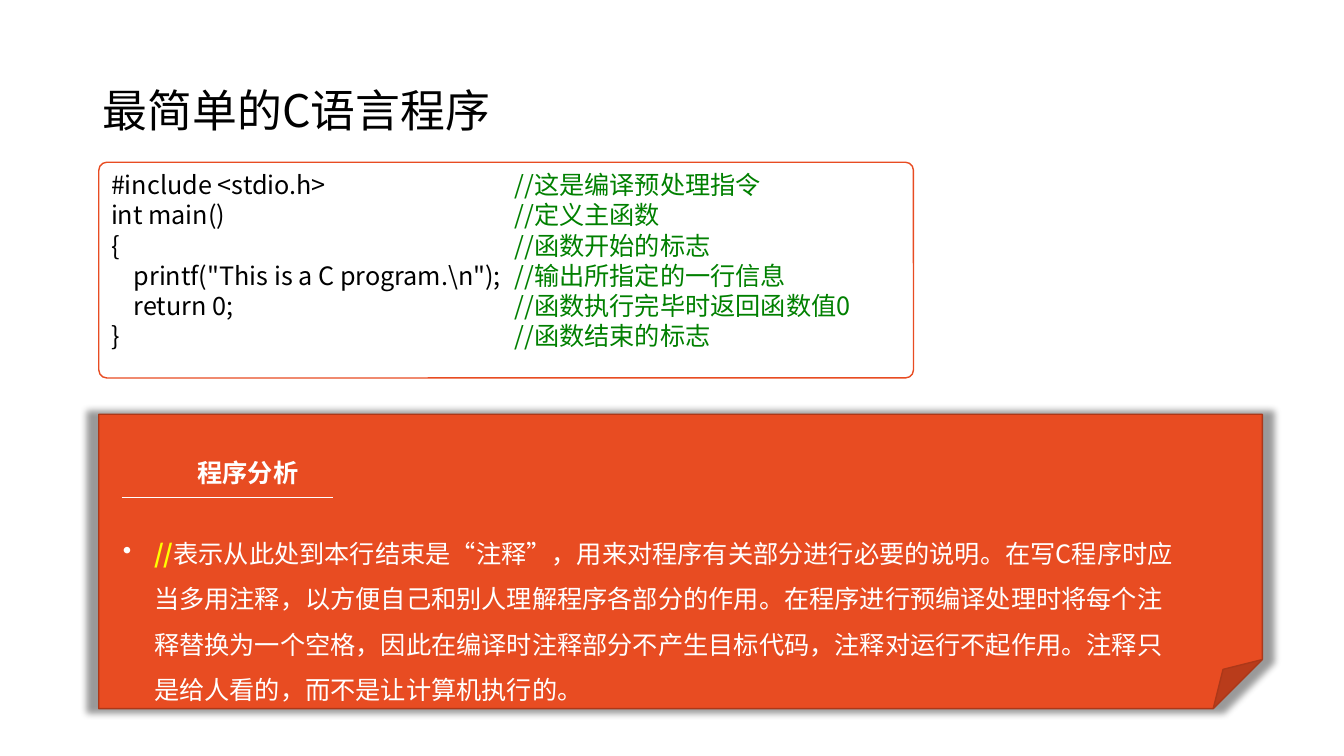
from dataclasses import dataclass, field
from typing import Any

from lxml import etree
from pptx import Presentation
from pptx import util as u
from pptx.dml.color import RGBColor
from pptx.enum import shapes, text
from pptx.oxml import ns


@dataclass(frozen=True)
class Theme:
    """Colours, typeface and type sizes of the slide."""
    face: str = "Noto Sans CJK SC"
    ink: str = "000000"
    paper: str = "FFFFFF"
    accent: str = "E84C22"
    accent_edge: str = "AC3819"
    comment: str = "008000"
    highlight: str = "FFFF00"
    title_size: int = 32
    body_size: int = 18


THEME = Theme()


@dataclass(frozen=True)
class Place:
    """Left, top, width and height in inches."""
    left: float
    top: float
    width: float
    height: float

    def lengths(self) -> list[u.Length]:
        """Return the four values as lengths."""
        return [u.Inches(v) for v in (self.left, self.top, self.width, self.height)]


@dataclass(frozen=True)
class Run:
    """A stretch of text in one style."""
    words: str
    color: str
    bold: bool = False
    size: int = THEME.body_size


@dataclass(frozen=True)
class Panel:
    """A filled and outlined preset shape."""
    preset: shapes.MSO_SHAPE
    place: Place
    fill: str
    edge: str


@dataclass(frozen=True)
class Passage:
    """A text box with one paragraph."""
    place: Place
    runs: list[Run]
    frame_format: dict[str, Any] = field(default_factory=dict)
    paragraph_format: dict[str, Any] = field(default_factory=dict)
    bulleted: bool = False


CODE = [
    ("#include <stdio.h>", "//这是编译预处理指令"),
    ("int main()", "//定义主函数"),
    ("{", "//函数开始的标志"),
    ('    printf("This is a C program.\\n");', "//输出所指定的一行信息"),
    ("    return 0;", "//函数执行完毕时返回函数值0"),
    ("}", "//函数结束的标志"),
]
COMMENT_TAB = 4.0
HANGING = 0.31

TITLE = Passage(
    Place(0.92, 0.4, 11.5, 1.45),
    [Run("最简单的C语言程序", THEME.ink, size=THEME.title_size)],
    {"vertical_anchor": text.MSO_ANCHOR.MIDDLE},
    {"line_spacing": 0.9},
)
HEADING = Passage(
    Place(1.86, 4.49, 1.36, 0.46),
    [Run("程序分析", THEME.paper, bold=True)],
    paragraph_format={"alignment": text.PP_ALIGN.JUSTIFY},
)
ANALYSIS = Passage(
    Place(1.12, 5.14, 10.66, 1.92),
    [
        Run("//", THEME.highlight, bold=True),
        Run("表示从此处到本行结束是“注释”，用来对程序有关部分进行必要的说明。"
            "在写C程序时应当多用注释，以方便自己和别人理解程序各部分的作用。"
            "在程序进行预编译处理时将每个注释替换为一个空格，"
            "因此在编译时注释部分不产生目标代码，注释对运行不起作用。"
            "注释只是给人看的，而不是让计算机执行的。", THEME.paper),
    ],
    paragraph_format={"line_spacing": 1.5},
    bulleted=True,
)
CODE_PANEL = Panel(shapes.MSO_SHAPE.ROUNDED_RECTANGLE,
                   Place(0.98, 1.61, 8.08, 2.14), THEME.paper, THEME.accent)
NOTE_PANEL = Panel(shapes.MSO_SHAPE.FOLDED_CORNER,
                   Place(0.98, 4.11, 11.54, 2.92), THEME.accent, THEME.accent_edge)


def apply(target: Any, values: dict[str, Any]) -> None:
    """Set each named attribute on the target."""
    for name, value in values.items():
        setattr(target, name, value)


def child(parent: Any, tag: str, **attributes: str) -> Any:
    """Append a DrawingML element to the parent."""
    return etree.SubElement(parent, ns.qn(f"a:{tag}"), attributes)


def write(paragraph: Any, runs: list[Run]) -> None:
    """Add styled runs to a paragraph."""
    for run in runs:
        piece = paragraph.add_run()
        piece.text = run.words
        apply(piece.font, {"name": THEME.face, "size": u.Pt(run.size), "bold": run.bold})
        piece.font.color.rgb = RGBColor.from_string(run.color)
        child(piece.font._element, "ea", typeface=THEME.face)


def add_bullet(paragraph: Any) -> None:
    """Give a paragraph a white hanging bullet."""
    properties = paragraph._p.get_or_add_pPr()
    indent = u.Inches(HANGING)
    properties.set("marL", str(indent))
    properties.set("indent", str(-indent))
    child(child(properties, "buClr"), "srgbClr", val=THEME.paper)
    child(properties, "buChar", char="•")


def draw_passage(canvas: Any, passage: Passage) -> None:
    """Draw a text box and its paragraph."""
    frame = canvas.add_textbox(*passage.place.lengths()).text_frame
    apply(frame, {"word_wrap": True, **passage.frame_format})
    paragraph = frame.paragraphs[0]
    if passage.bulleted:
        add_bullet(paragraph)
    apply(paragraph, passage.paragraph_format)
    write(paragraph, passage.runs)


def draw_panel(canvas: Any, panel: Panel) -> Any:
    """Draw a panel and return its shape."""
    shape = canvas.add_shape(panel.preset, *panel.place.lengths())
    shape.shadow.inherit = False
    shape.fill.solid()
    shape.fill.fore_color.rgb = RGBColor.from_string(panel.fill)
    shape.line.color.rgb = RGBColor.from_string(panel.edge)
    shape.line.width = u.Pt(1)
    return shape


def draw_code(canvas: Any) -> None:
    """Draw the program listing with its aligned comments."""
    listing = draw_panel(canvas, CODE_PANEL)
    listing.adjustments[0] = 0.037
    frame = listing.text_frame
    apply(frame, {"word_wrap": True, "vertical_anchor": text.MSO_ANCHOR.TOP})
    for index, (code, comment) in enumerate(CODE):
        line = frame.add_paragraph() if index else frame.paragraphs[0]
        line.alignment = text.PP_ALIGN.LEFT
        stops = child(line._p.get_or_add_pPr(), "tabLst")
        child(stops, "tab", pos=str(u.Inches(COMMENT_TAB)), algn="l")
        write(line, [Run(f"{code}\t", THEME.ink), Run(comment, THEME.comment)])


def draw_note(canvas: Any) -> None:
    """Draw the folded note with its heading and analysis."""
    note = draw_panel(canvas, NOTE_PANEL)
    effects = note._element.spPr.find(ns.qn("a:effectLst"))
    shadow = child(effects, "outerShdw", blurRad=str(u.Pt(5)), sx="102000",
                   sy="102000", algn="ctr", rotWithShape="0")
    child(child(shadow, "srgbClr", val=THEME.ink), "alpha", val="40000")
    header = canvas.add_group_shape().shapes
    draw_passage(header, HEADING)
    ends = [u.Inches(v) for v in (1.21, 4.93, 3.3, 4.93)]
    underline = header.add_connector(shapes.MSO_CONNECTOR.STRAIGHT, *ends)
    underline.line.color.rgb = RGBColor.from_string(THEME.paper)
    underline.line.width = u.Pt(0.5)
    child(underline._element.spPr, "effectLst")
    draw_passage(canvas, ANALYSIS)


def main() -> None:
    """Build and save the slide."""
    deck = Presentation()
    apply(deck, {"slide_width": u.Inches(13.33), "slide_height": u.Inches(7.5)})
    canvas = deck.slides.add_slide(deck.slide_layouts[6]).shapes
    draw_passage(canvas, TITLE)
    draw_code(canvas)
    draw_note(canvas)
    deck.save("out.pptx")


if __name__ == "__main__":
    main()
